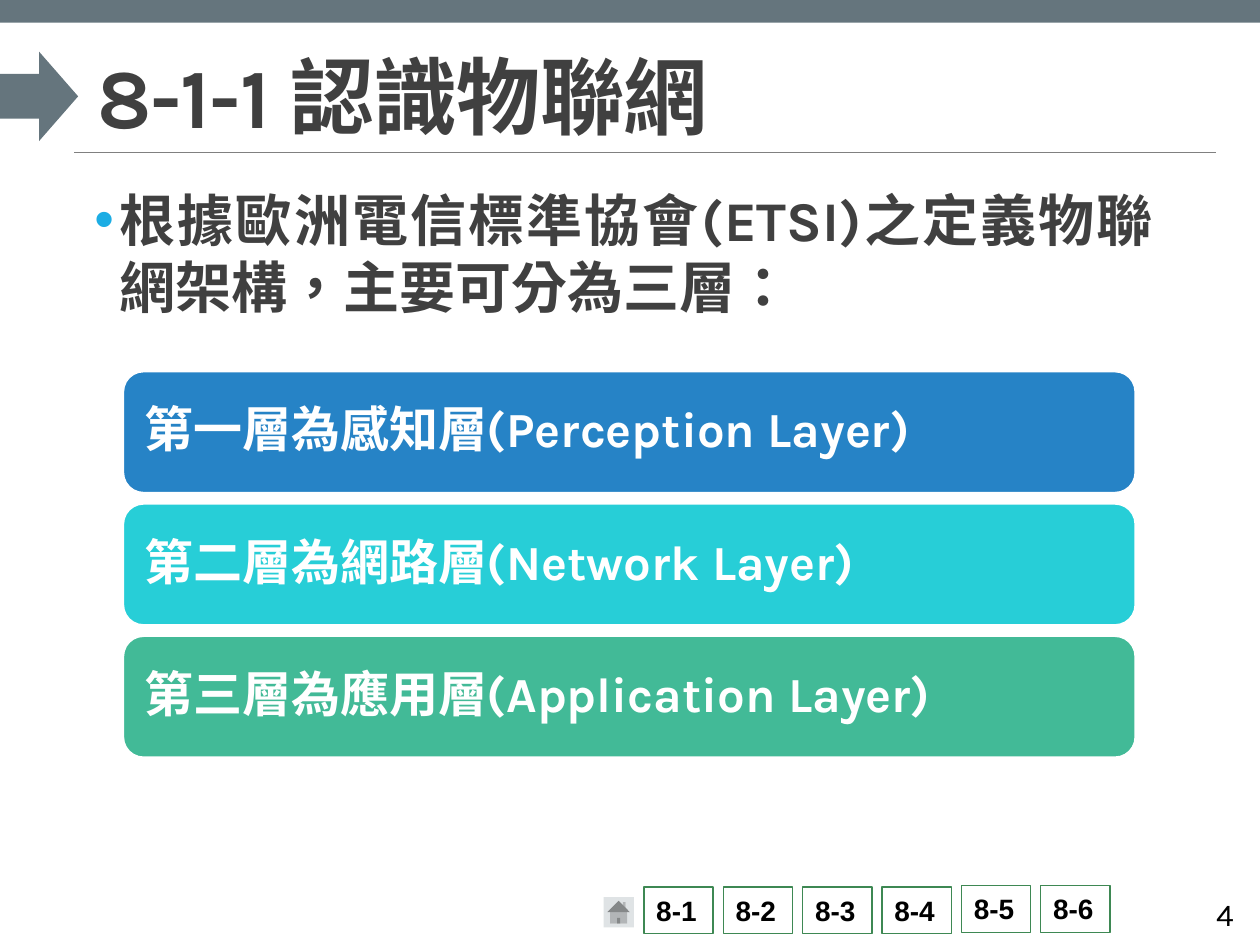
from lxml import etree
from pptx import Presentation
from pptx import util as u
from pptx.dml.color import RGBColor
from pptx.enum import lang, shapes, text
from pptx.oxml.ns import qn

COLORS = {
    "slate": "65757D", "rule": "808080", "ink": "404040", "black": "000000",
    "white": "FFFFFF", "green": "3E8853", "home": "DFE3E5", "bullet": "1CADE4",
}
LAYERS = [
    ("第一層為感知層(Perception Layer)", "2683C6"),
    ("第二層為網路層(Network Layer)", "27CED7"),
    ("第三層為應用層(Application Layer)", "42BA97"),
]
SHAPE = shapes.MSO_SHAPE
LEFT, RIGHT, JUSTIFY = (
    text.PP_ALIGN.LEFT, text.PP_ALIGN.RIGHT, text.PP_ALIGN.JUSTIFY)
TOP, MIDDLE, BOTTOM = (
    text.MSO_ANCHOR.TOP, text.MSO_ANCHOR.MIDDLE, text.MSO_ANCHOR.BOTTOM)


def rgb(value):
    return RGBColor.from_string(value)


def inches(box):
    return [u.Inches(value) for value in box]


def write(shape, words, size, color, font="Karla", bold=True, align=LEFT,
          anchor=TOP, insets=(0.1, 0.05)):
    """Put one formatted paragraph in a shape and return the paragraph."""
    frame = shape.text_frame
    frame.word_wrap = True
    frame.auto_size = text.MSO_AUTO_SIZE.NONE
    frame.vertical_anchor = anchor
    frame.margin_left = frame.margin_right = u.Inches(insets[0])
    frame.margin_top = frame.margin_bottom = u.Inches(insets[1])
    paragraph = frame.paragraphs[0]
    paragraph.text = words
    paragraph.alignment = align
    paragraph.font.name = font
    paragraph.font.size = u.Pt(size)
    paragraph.font.bold = bold
    paragraph.font.color.rgb = rgb(color)
    paragraph.font.language_id = lang.MSO_LANGUAGE_ID.TRADITIONAL_CHINESE
    return paragraph


def add_block(slide, kind, box, fill, line=None):
    shape = slide.shapes.add_shape(kind, *inches(box))
    shape.shadow.inherit = False
    shape.fill.solid()
    shape.fill.fore_color.rgb = rgb(fill)
    if line:
        shape.line.color.rgb = rgb(line)
        shape.line.width = u.Pt(0.85)
    else:
        shape.line.fill.background()
    return shape


def add_rule(slide, left, right, top):
    rule = slide.shapes.add_connector(
        shapes.MSO_CONNECTOR.STRAIGHT, *inches((left, top, right, top)))
    rule.line.color.rgb = rgb(COLORS["rule"])
    rule.line.width = u.Pt(0.5)
    etree.SubElement(rule._element.spPr, qn("a:effectLst"))


def add_title(slide, words):
    title = slide.shapes.title
    title.left, title.top, title.width, title.height = inches(
        (0.67, 0.31, 8.98, 0.9))
    paragraph = write(title, words, 48, COLORS["ink"], anchor=BOTTOM)
    paragraph.line_spacing = 0.85
    paragraph.font._element.set("spc", "-50")


def add_bullet_text(slide, words):
    body = slide.shapes.add_textbox(*inches((0.75, 1.42, 8.4, 1.2)))
    # Bullet elements go in ahead of the paragraph font
    properties = body.text_frame.paragraphs[0]._p.get_or_add_pPr()
    properties.set("marL", str(u.Inches(0.2)))
    properties.set("indent", str(-u.Inches(0.2)))
    color = etree.SubElement(properties, qn("a:buClr"))
    etree.SubElement(color, qn("a:srgbClr"), val=COLORS["bullet"])
    etree.SubElement(properties, qn("a:buFont"), typeface="Arial")
    etree.SubElement(properties, qn("a:buChar"), char="•")
    write(body, words, 32, COLORS["ink"], align=JUSTIFY, insets=(0, 0.05))


def add_layers(slide):
    for row, (words, fill) in enumerate(LAYERS):
        box = (0.98, 2.95 + row * 1.05, 8.03, 0.96)
        bar = add_block(slide, SHAPE.ROUNDED_RECTANGLE, box, fill,
                        COLORS["white"])
        paragraph = write(bar, words, 28, COLORS["white"], anchor=MIDDLE,
                          insets=(0.12, 0.12))
        paragraph.line_spacing = 0.9


def add_navigation(slide):
    add_block(slide, SHAPE.ACTION_BUTTON_HOME, (4.79, 7.12, 0.24, 0.24),
              COLORS["home"])
    for column in range(6):
        top = 7.04 if column < 4 else 7.03
        button = add_block(slide, SHAPE.RECTANGLE,
                           (5.11 + column * 0.63, top, 0.55, 0.37),
                           COLORS["white"], COLORS["green"])
        write(button, f"8-{column + 1}", 16, COLORS["black"], font="Arial")


def main():
    presentation = Presentation()
    presentation.slide_width, presentation.slide_height = inches((10, 7.5))
    slide = presentation.slides.add_slide(presentation.slide_layouts[5])

    # Header
    add_rule(slide, 0.59, 9.65, 1.21)
    add_block(slide, SHAPE.RECTANGLE, (0, 0, 10, 0.18), COLORS["slate"])
    add_block(slide, SHAPE.RIGHT_ARROW, (0, 0.41, 0.62, 0.71), COLORS["slate"])
    add_title(slide, "8-1-1 認識物聯網")

    # Content
    add_bullet_text(
        slide, "根據歐洲電信標準協會(ETSI)之定義物聯網架構，主要可分為三層：")
    add_layers(slide)

    # Footer
    add_navigation(slide)
    number = slide.shapes.add_textbox(*inches((8.81, 7.05, 1.08, 0.4)))
    write(number, "4", 18, COLORS["black"], bold=False, align=RIGHT,
          anchor=MIDDLE)

    presentation.save("out.pptx")


if __name__ == "__main__":
    main()
